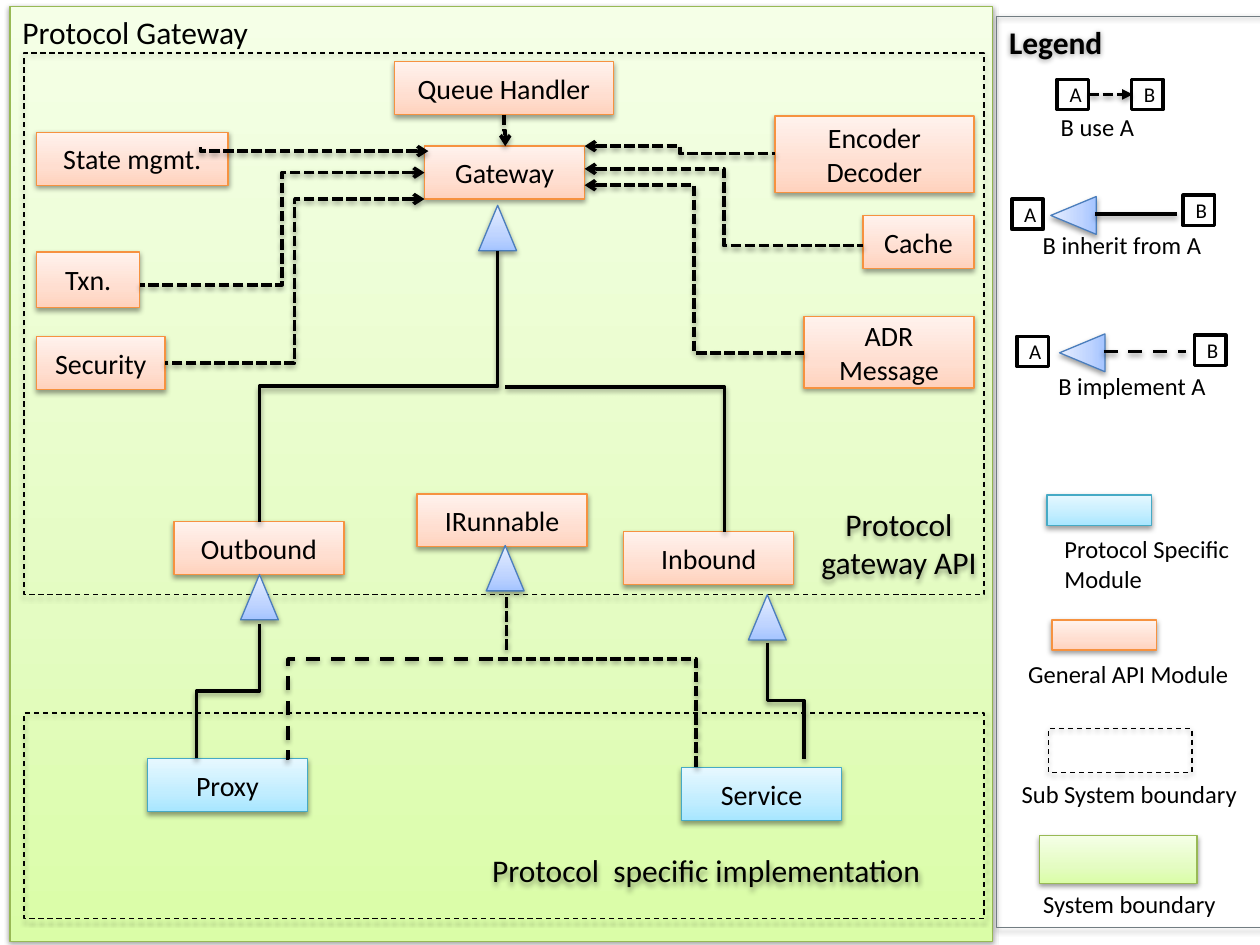
from copy import deepcopy

from lxml.etree import SubElement
from pptx import Presentation
from pptx.dml.color import RGBColor
from pptx.enum.dml import MSO_LINE_DASH_STYLE as DASH
from pptx.enum.shapes import MSO_CONNECTOR, MSO_SHAPE
from pptx.enum.text import MSO_ANCHOR, PP_ALIGN
from pptx.oxml.ns import qn
from pptx.util import Inches, Pt

FONT = "Calibri"
BLACK = RGBColor(0x00, 0x00, 0x00)
WHITE = RGBColor(0xFF, 0xFF, 0xFF)
SLATE = RGBColor(0x72, 0x7D, 0x82)

# Each palette: three gradient colours from bottom to top, then the outline
GREEN = [RGBColor.from_string(c) for c in ("DAFDA7", "E4FCC2", "F5FFE7", "98B955")]
ORANGE = [RGBColor.from_string(c) for c in ("FFD2BD", "FFDED0", "FFF2ED", "F69240")]
CYAN = [RGBColor.from_string(c) for c in ("A7E6FF", "C1EDFF", "E7F8FF", "46AAC5")]
BLUE = [RGBColor.from_string(c) for c in ("A4C4FF", "BFD4FF", "E6EEFF", "4B7EBC")]
STOPS = (0, 0.35, 1)


def write_text(frame, text, size=16, bold=False, align=PP_ALIGN.CENTER,
               anchor=MSO_ANCHOR.MIDDLE, wrap=True):
    frame.word_wrap = wrap
    frame.vertical_anchor = anchor
    frame.text = text
    for para in frame.paragraphs:
        para.alignment = align
        for span in para.runs:
            span.font.name = FONT
            span.font.size = Pt(size)
            span.font.bold = bold
            span.font.color.rgb = BLACK


def add_shadow(shape):
    effects = SubElement(shape._element.spPr, qn("a:effectLst"))
    outer = SubElement(effects, qn("a:outerShdw"), blurRad=str(Pt(3.1)),
                       dist=str(Pt(1.6)), dir="5400000", rotWithShape="0")
    color = SubElement(outer, qn("a:srgbClr"), val=str(BLACK))
    SubElement(color, qn("a:alpha"), val="38000")


class Diagram:
    def __init__(self, page):
        self.page = page

    def shape(self, kind, left, top, width, height, line=BLACK, weight=0.75):
        box = self.page.shapes.add_shape(
            kind, Inches(left), Inches(top), Inches(width), Inches(height))
        box.line.color.rgb = line
        box.line.width = Pt(weight)
        return box

    def shaded(self, palette, *place, text="", kind=MSO_SHAPE.RECTANGLE, **style):
        box = self.shape(kind, *place, line=palette[3])
        box.fill.gradient()
        box.fill.gradient_angle = 90
        stops = box._element.spPr.find(".//" + qn("a:gsLst"))
        stops.insert(1, deepcopy(stops[0]))
        for stop, position, color in zip(box.fill.gradient_stops, STOPS, palette):
            stop.position = position
            stop.color.rgb = color
        add_shadow(box)
        if text:
            write_text(box.text_frame, text, **style)

    def boundary(self, *place):
        box = self.shape(MSO_SHAPE.RECTANGLE, *place)
        box.fill.background()
        box.line.dash_style = DASH.DASH
        add_shadow(box)

    def triangle(self, left, top, rotation=0):
        self.shaded(BLUE, left, top, 0.3, 0.36, kind=MSO_SHAPE.ISOSCELES_TRIANGLE)
        self.page.shapes[-1].rotation = rotation

    def key(self, letter, left, top):
        box = self.shape(MSO_SHAPE.RECTANGLE, left, top, 0.25, 0.24, weight=2)
        box.fill.solid()
        box.fill.fore_color.rgb = WHITE
        box.shadow.inherit = False
        write_text(box.text_frame, letter, size=12, align=PP_ALIGN.LEFT)

    def label(self, text, *place, shadow=False, **style):
        box = self.page.shapes.add_textbox(*map(Inches, place))
        write_text(box.text_frame, text, **style)
        if shadow:
            add_shadow(box)

    def elbow(self, start, end, bend=0.5, dash=None, head=None, tail=None, upright=False):
        """Bent line; an upright one leaves its start downwards."""
        (x1, y1), (x2, y2) = start, end
        if upright:
            mid_x, mid_y = (x1 + x2) / 2, (y1 + y2) / 2
            half_x, half_y = (x2 - x1) / 2, (y2 - y1) / 2
            x1, y1 = mid_x - half_y, mid_y + half_x
            x2, y2 = mid_x + half_y, mid_y - half_x
        line = self.page.shapes.add_connector(
            MSO_CONNECTOR.ELBOW, Inches(x1), Inches(y1), Inches(x2), Inches(y2))
        props = line._element.spPr
        if upright:
            props.find(qn("a:xfrm")).set("rot", "5400000")
        guides = props.find(qn("a:prstGeom")).get_or_add_avLst()
        SubElement(guides, qn("a:gd"), name="adj1", fmla=f"val {round(bend * 100000)}")
        line.line.color.rgb = BLACK
        line.line.width = Pt(2)
        if dash:
            line.line.dash_style = dash
        for tag, arrow in (("a:headEnd", head), ("a:tailEnd", tail)):
            if arrow:
                SubElement(props.find(qn("a:ln")), qn(tag), type=arrow)
        add_shadow(line)


def main():
    deck = Presentation()
    deck.slide_width, deck.slide_height = Inches(10), Inches(7.5)
    diagram = Diagram(deck.slides.add_slide(deck.slide_layouts[6]))
    corner = dict(size=18, align=PP_ALIGN.LEFT, anchor=MSO_ANCHOR.TOP)
    dots = DASH.SQUARE_DOT

    # System and its two subsystems
    diagram.shaded(GREEN, 0.08, 0.05, 7.8, 7.42, text="Protocol Gateway", **corner)
    diagram.boundary(0.19, 0.42, 7.62, 4.3)
    diagram.boundary(0.19, 5.66, 7.62, 1.63)

    # Modules
    for palette, text, *place in (
        (ORANGE, "Gateway", 3.37, 1.16, 1.27, 0.42),
        (CYAN, "Proxy", 1.17, 6.02, 1.27, 0.42),
        (CYAN, "Service", 5.41, 6.09, 1.27, 0.42),
        (ORANGE, "State mgmt.", 0.29, 1.05, 1.52, 0.42),
        (ORANGE, "Cache", 6.85, 1.71, 0.88, 0.42),
        (ORANGE, "Encoder\vDecoder", 6.15, 0.92, 1.58, 0.61),
        (ORANGE, "Security", 0.29, 2.67, 1.02, 0.42),
        (ORANGE, "Txn.", 0.29, 2, 0.82, 0.44),
        (ORANGE, "Outbound", 1.38, 4.14, 1.35, 0.42),
        (ORANGE, "Inbound", 4.95, 4.22, 1.35, 0.42),
        (ORANGE, "ADR Message", 6.38, 2.51, 1.35, 0.57),
        (ORANGE, "IRunnable", 3.31, 3.92, 1.35, 0.42),
        (ORANGE, "Queue Handler", 3.13, 0.49, 1.74, 0.42),
    ):
        diagram.shaded(palette, *place, text=text)

    # Modules used by the gateway
    for start, end, bend in (
        ((3.4, 1.2), (1.59, 1.17), 1),
        ((3.37, 1.37), (1.11, 2.26), 0.5),
        ((3.37, 1.58), (1.31, 2.88), 0.5),
        ((4.64, 1.16), (6.15, 1.22), 0.5),
        ((4.64, 1.34), (6.85, 1.95), 0.5),
        ((4.64, 1.47), (6.38, 2.8), 0.5),
    ):
        diagram.elbow(start, end, bend, dash=dots, head="arrow")
    diagram.elbow((4, 0.91), (4.01, 1.16), dash=dots, tail="arrow", upright=True)

    # Inheritance and implementation
    for left, top in ((3.8, 1.63), (1.91, 4.56), (3.86, 4.33), (5.94, 4.72)):
        diagram.triangle(left, top)
    diagram.elbow((3.95, 1.99), (2.06, 4.14), upright=True)
    diagram.elbow((4.01, 3.07), (5.75, 4.22), bend=1)
    diagram.elbow((2.06, 4.95), (1.56, 6.02), upright=True)
    diagram.elbow((6.09, 5.1), (6.38, 6.02), upright=True)
    diagram.elbow((4.02, 4.74), (4.02, 5.18), dash=dots, upright=True)
    diagram.elbow((3.95, 5.23), (5.51, 6.09), bend=1.01, dash=dots)
    diagram.elbow((3.91, 5.23), (2.27, 6.02), bend=0.99, dash=DASH.DASH)

    # Subsystem names
    diagram.label("Protocol gateway API", 6.26, 4.05, 1.75, 0.52, size=18, shadow=True)
    diagram.label("Protocol  specific implementation", 3.4, 6.54, 4.41, 0.73,
                  size=18, shadow=True)

    # Legend panel
    panel = diagram.shape(MSO_SHAPE.RECTANGLE, 7.91, 0.13, 2.18, 7.23, line=SLATE)
    panel.fill.background()
    add_shadow(panel)
    write_text(panel.text_frame, "Legend", bold=True, **corner)

    # Legend: relations
    for letter, left, top in (("A", 8.39, 0.63), ("B", 8.98, 0.63), ("A", 8.03, 1.58),
                              ("B", 9.39, 1.55), ("A", 8.07, 2.67), ("B", 9.48, 2.66)):
        diagram.key(letter, left, top)
    diagram.elbow((8.64, 0.75), (8.99, 0.75), dash=dots, tail="triangle")
    for left, top, dash in ((8.37, 1.53, None), (8.44, 2.62, DASH.DASH)):
        diagram.triangle(left, top, rotation=270)
        diagram.elbow((left + 0.32, top + 0.17), (left + 0.97, top + 0.17), dash=dash)
    diagram.label("B inherit from A", 8.12, 1.76, 1.57, 0.36, size=14)
    diagram.label("B implement A", 8.2, 2.88, 1.57, 0.36, size=14)

    # Legend: samples of modules and boundaries
    diagram.shaded(CYAN, 8.31, 3.93, 0.83, 0.24)
    diagram.shaded(ORANGE, 8.35, 4.92, 0.83, 0.24)
    diagram.boundary(8.32, 5.78, 1.14, 0.35)
    diagram.shaded(GREEN, 8.25, 6.63, 1.25, 0.38)
    diagram.label("General API Module", 7.91, 5.18, 2.09, 0.34, size=14)
    for text, *place in (
        ("B use A", 8.32, 0.84, 0.79, 0.34),
        ("Protocol Specific\nModule", 8.35, 4.19, 1.53, 0.57),
        ("Sub System boundary", 8.01, 6.13, 1.91, 0.34),
        ("System boundary", 8.18, 7.01, 1.58, 0.34),
    ):
        diagram.label(text, *place, size=14, align=PP_ALIGN.LEFT,
                      anchor=MSO_ANCHOR.TOP, wrap=False)

    deck.save("out.pptx")


if __name__ == "__main__":
    main()
